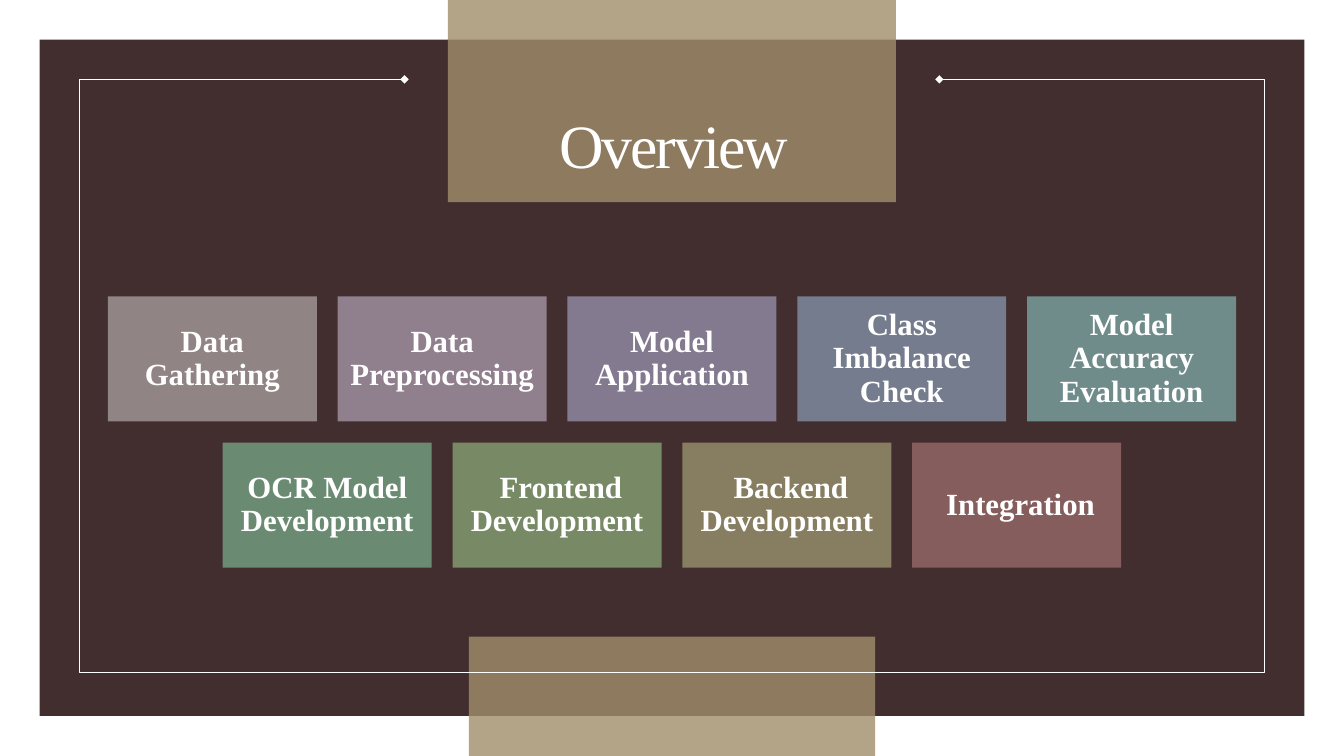
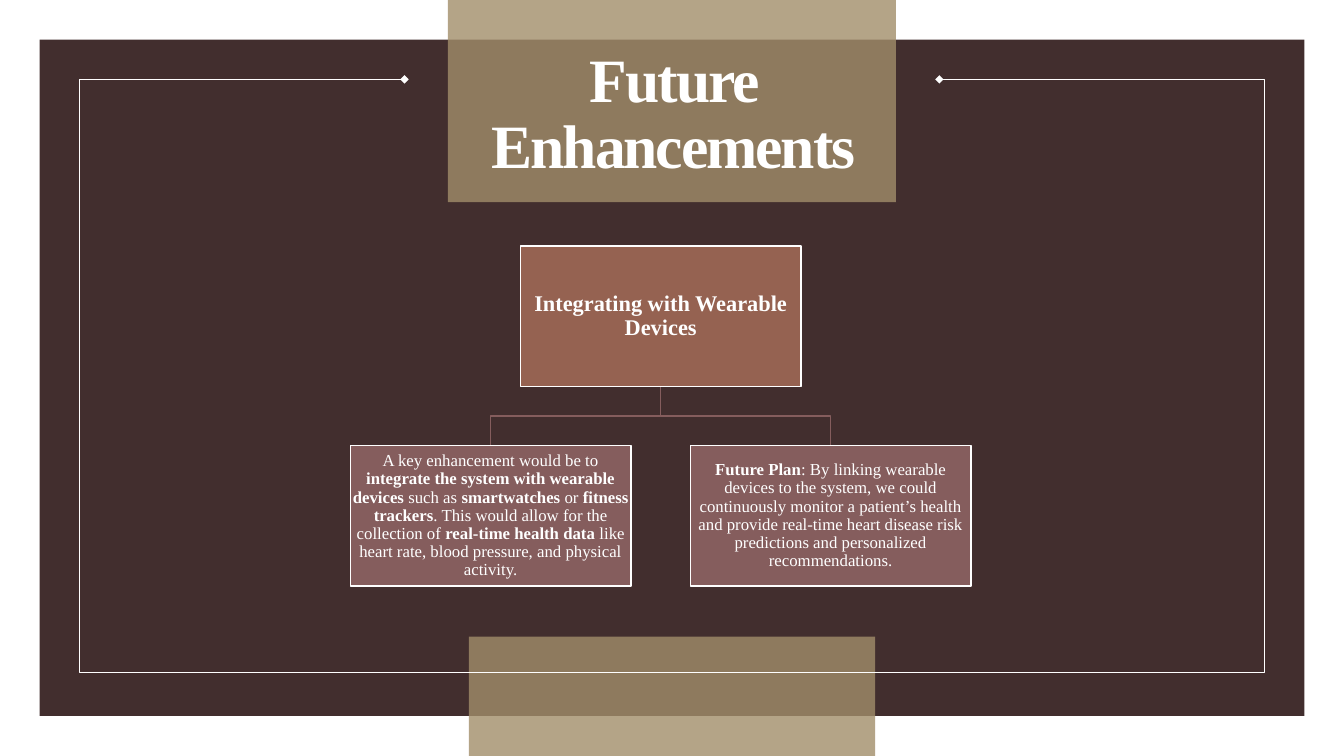
from pptx import Presentation
from pptx.dml.color import RGBColor
from pptx.enum.shapes import MSO_SHAPE
from pptx.enum.text import MSO_ANCHOR, PP_ALIGN
from pptx.oxml.ns import qn
from pptx.util import Emu, Inches, Pt
from lxml.etree import SubElement

HUES = {
    "paper": "FFFFFF", "dark": "422E2E", "band": "A28E6A",
    "root": "956251", "rose": "855D5D",
    "grey": "918485", "mauve": "907F8D", "violet": "837A8F",
    "slate": "747C8E", "teal": "6F8C8B", "green": "6A8B72",
    "moss": "788966", "olive": "877D61",
}
FONT = "Times New Roman"

STEPS = [
    [("Data Gathering", "grey"), ("Data Preprocessing", "mauve"),
     ("Model Application", "violet"), ("Class Imbalance Check", "slate"),
     ("Model Accuracy Evaluation", "teal")],
    [("OCR Model Development", "green"), (" Frontend Development", "moss"),
     (" Backend Development", "olive"), (" Integration", "rose")],
]
ROOT = "*Integrating with Wearable Devices*"
LEAVES = [
    "A key enhancement would be to *integrate the system with wearable "
    "devices* such as *smartwatches* or *fitness trackers*. This would allow "
    "for the collection of *real-time health data* like heart rate, blood "
    "pressure, and physical activity.",
    "*Future Plan*: By linking wearable devices to the system, we could "
    "continuously monitor a patient’s health and provide real-time heart "
    "disease risk predictions and personalized recommendations.",
]


def hue(name):
    return RGBColor.from_string(HUES[name])


class Deck:
    """Style and current slide; lengths are percent of the slide's size."""

    def __init__(self):
        self.prs = Presentation()
        self.prs.slide_width = Emu(12192000)
        self.prs.slide_height = Inches(7.5)
        self.slide = None

    def spot(self, x, y):
        return (Emu(round(self.prs.slide_width * x / 100)),
                Emu(round(self.prs.slide_height * y / 100)))

    def page(self, title):
        self.slide = self.prs.slides.add_slide(self.prs.slide_layouts[6])
        self.rect(2.95, 5.25, 94.1, 89.47, "dark")
        self.rect(33.33, 0, 33.33, 26.76, "band", alpha=80)
        self.rect(34.88, 84.23, 30.24, 15.77, "band", alpha=80)
        left, right, top, low = 5.91, 94.09, 10.5, 88.96
        self.trace([(69.9, top), (right, top), (right, low),
                    (left, low), (left, top), (30.1, top)],
                   "paper", tip="diamond")
        box = self.slide.shapes.add_textbox(
            *self.spot(33.67, 5.25), *self.spot(32.93, 19.47))
        self.label(box, title, 44, 0.1, MSO_ANCHOR.BOTTOM, -1.5)

    def rect(self, x, y, w, h, fill, edge=None, alpha=100):
        shape = self.slide.shapes.add_shape(
            MSO_SHAPE.RECTANGLE, *self.spot(x, y), *self.spot(w, h))
        shape.shadow.inherit = False
        shape.fill.solid()
        shape.fill.fore_color.rgb = hue(fill)
        if alpha < 100:
            tint = shape.element.spPr.find(qn("a:solidFill"))[0]
            SubElement(tint, qn("a:alpha")).set("val", str(alpha * 1000))
        if edge:
            shape.line.color.rgb = hue(edge)
            shape.line.width = Pt(1)
        else:
            shape.line.fill.background()
        return shape

    def trace(self, spots, tone, tip=None):
        """Draw an open line through spots, with an optional tip on both ends."""
        first, *rest = [self.spot(*p) for p in spots]
        pen = self.slide.shapes.build_freeform(*first)
        pen.add_line_segments(rest, close=False)
        shape = pen.convert_to_shape()
        shape.shadow.inherit = False
        shape.fill.background()
        shape.line.color.rgb = hue(tone)
        shape.line.width = Pt(1)
        if tip:
            line = shape.element.spPr.find(qn("a:ln"))
            for end in ("a:headEnd", "a:tailEnd"):
                SubElement(line, qn(end)).set("type", tip)

    def label(self, shape, text, size, inset, anchor=MSO_ANCHOR.MIDDLE, track=0):
        """Fill shape with centred text; parts between asterisks are bold."""
        frame = shape.text_frame
        frame.word_wrap = True
        frame.vertical_anchor = anchor
        frame.margin_left = frame.margin_right = Inches(inset)
        frame.margin_top = frame.margin_bottom = Inches(min(inset, 0.05))
        para = frame.paragraphs[0]
        para.alignment = PP_ALIGN.CENTER
        para.line_spacing = 0.9
        for i, part in enumerate(text.split("*")):
            if not part:
                continue
            run = para.add_run()
            run.text = part
            run.font.name = FONT
            run.font.size = Pt(size)
            run.font.bold = i % 2 == 1
            run.font.color.rgb = hue("paper")
            if track:
                run._r.get_or_add_rPr().set("spc", str(round(track * 100)))

    def tiles(self, rows):
        """Lay out rows of equal tiles, each row centred on the slide."""
        wide, high, across, down = 15.55, 16.55, 17.1, 19.36
        for r, row in enumerate(rows):
            left = (100 - across * (len(row) - 1) - wide) / 2
            for c, (text, fill) in enumerate(row):
                tile = self.rect(left + c * across, 39.19 + r * down,
                                 wide, high, fill)
                self.label(tile, f"*{text}*", 22, 0.09)

    def tree(self, root, leaves):
        """Draw a root box over a row of leaves joined by elbow lines."""
        wide, high, across = 20.9, 18.58, 25.3
        mid, top, low = 49.16, 32.53, 58.93
        foot = top + high
        bend = (foot + low) / 2
        axes = [mid + (i - (len(leaves) - 1) / 2) * across
                for i in range(len(leaves))]
        for x in reversed(axes):
            self.trace([(mid, foot), (mid, bend), (x, bend), (x, low)], "rose")
        nodes = [(mid, top, root, "root", 16)]
        nodes += [(x, low, text, "rose", 12) for x, text in zip(axes, leaves)]
        for x, y, text, fill, size in nodes:
            node = self.rect(x - wide / 2, y, wide, high, fill, edge="paper")
            self.label(node, text, size, 0.01)


def main():
    deck = Deck()
    deck.page("Overview")
    deck.tiles(STEPS)
    deck.page("*Future Enhancements*")
    deck.tree(ROOT, LEAVES)
    deck.prs.save("out.pptx")


if __name__ == "__main__":
    main()
